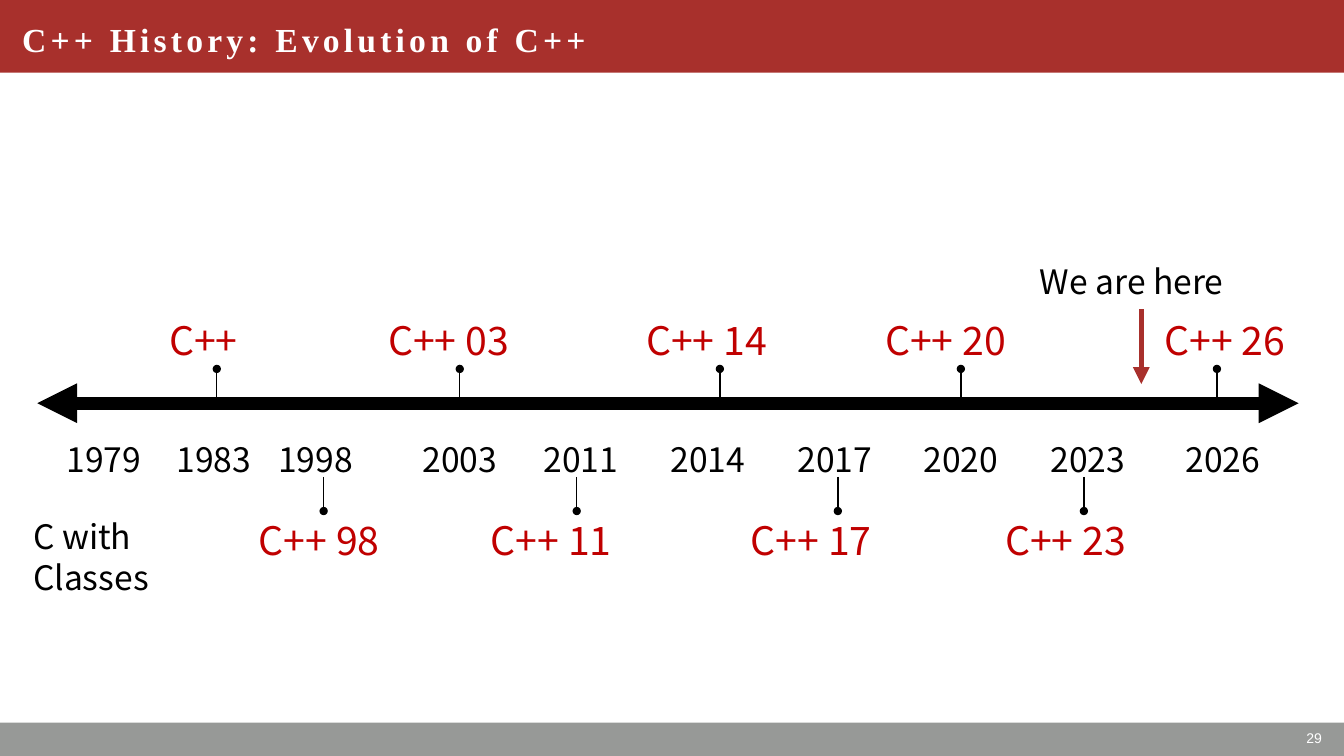
from dataclasses import dataclass

from pptx import Presentation
from pptx.dml.color import RGBColor
from pptx.enum.shapes import MSO_CONNECTOR, MSO_SHAPE
from pptx.enum.text import MSO_ANCHOR, MSO_AUTO_SIZE, PP_ALIGN
from pptx.oxml.ns import qn
from pptx.util import Inches, Pt
from lxml.etree import SubElement


@dataclass(frozen=True)
class Theme:
    """Colours, fonts and type sizes of the slide."""
    brand: str = "A8302C"
    footer: str = "979997"
    version: str = "C00000"
    ink: str = "000000"
    light: str = "FFFFFF"
    body_font: str = "Noto Sans CJK JP"
    title_font: str = "Times New Roman"
    number_font: str = "Arial"
    body_size: int = 24
    version_size: int = 28
    number_size: int = 10


THEME = Theme()
YEAR_WIDTH = 1.26

# year, year left, version, version left, version width, pin x, above the axis
MILESTONES = [
    ("1983", 1.49, "C++", 1.58, 1.14, 2.15, True),
    ("1998", 2.5, "C++ 98", 2.47, 1.96, 3.21, False),
    ("2003", 3.93, "C++ 03", 3.75, 1.92, 4.56, True),
    ("2011", 5.13, "C++ 11", 4.77, 2.03, 5.72, False),
    ("2014", 6.39, "C++ 14", 6.31, 1.84, 7.14, True),
    ("2017", 7.65, "C++ 17", 7.35, 1.81, 8.31, False),
    ("2020", 8.9, "C++ 20", 8.68, 1.71, 9.53, True),
    ("2023", 10.16, "C++ 23", 9.87, 1.84, 10.75, False),
    ("2026", 11.5, "C++ 26", 11.45, 1.71, 12.07, True),
]


def write(frame, text, *, size=THEME.body_size, font=THEME.body_font, color=THEME.ink,
          bold=False, align=PP_ALIGN.LEFT, spacing=None, tracking=None):
    """Fill a text frame with one formatted paragraph per line of text."""
    frame.word_wrap = True
    for index, line in enumerate(text.split("\n")):
        paragraph = frame.add_paragraph() if index else frame.paragraphs[0]
        paragraph.alignment = align
        if spacing:
            paragraph.line_spacing = Pt(spacing * size)
        run = paragraph.add_run()
        run.text = line
        run.font.size, run.font.name, run.font.bold = Pt(size), font, bold
        run.font.color.rgb = RGBColor.from_string(color)
        if tracking:
            run.font._element.set("spc", str(tracking * 100))


def add_label(slide, text, left, top, width, height, **style):
    """Place a timeline label with tight line spacing."""
    frame = slide.shapes.add_textbox(*map(Inches, (left, top, width, height))).text_frame
    frame.margin_top = Inches(0.08)
    write(frame, text, spacing=1.2, **style)


def add_bar(slide, left, top, width, height, color):
    """Draw a plain coloured band."""
    bar = slide.shapes.add_shape(MSO_SHAPE.RECTANGLE, *map(Inches, (left, top, width, height)))
    bar.shadow.inherit = False
    bar.fill.solid()
    bar.fill.fore_color.rgb = RGBColor.from_string(color)
    bar.line.fill.background()


def add_line(slide, start, end, width, color=THEME.ink, head=None, tail=None):
    """Draw a straight line with optional end marks."""
    line = slide.shapes.add_connector(MSO_CONNECTOR.STRAIGHT, *map(Inches, (*start, *end)))
    line.line.width = Pt(width)
    line.line.color.rgb = RGBColor.from_string(color)
    for tag, mark in (("a:headEnd", head), ("a:tailEnd", tail)):
        if mark:
            SubElement(line.line._get_or_add_ln(), qn(tag), type=mark)
    SubElement(line.element.spPr, qn("a:effectLst"))


def add_header(slide, left, top, width, height):
    """Draw the title band and set the title on it."""
    add_bar(slide, left, top, width, height, THEME.brand)
    title = slide.shapes.title
    slide.shapes.element.append(title.element)
    title.left, title.top = Inches(left + 0.12), Inches(top)
    title.width, title.height = Inches(7.1), Inches(height + 0.05)
    title.text_frame.auto_size = MSO_AUTO_SIZE.NONE
    title.text_frame.vertical_anchor = MSO_ANCHOR.MIDDLE
    write(title.text_frame, "C++ History: Evolution of C++", font=THEME.title_font,
          color=THEME.light, bold=True, tracking=3)


def add_footer(slide, left, top, width, height):
    """Draw the footer band with the slide number."""
    add_bar(slide, left, top, width, height, THEME.footer)
    box = map(Inches, (left + width - 3.07, top - 0.02, 2.95, 0.35))
    frame = slide.shapes.add_textbox(*box).text_frame
    frame.vertical_anchor = MSO_ANCHOR.MIDDLE
    write(frame, "29", size=THEME.number_size, font=THEME.number_font,
          color=THEME.light, align=PP_ALIGN.RIGHT)


def add_timeline(slide, left, axis, width):
    """Draw the axis, its years, the pinned versions and the present-day arrow."""
    add_line(slide, (left, axis), (left + width, axis), 9.5, head="triangle", tail="triangle")
    years = [("1979", 0.4)] + [milestone[:2] for milestone in MILESTONES]
    for year, year_left in years:
        add_label(slide, year, year_left, axis + 0.27, YEAR_WIDTH, 0.5, align=PP_ALIGN.CENTER)
    add_label(slide, "C with\nClasses", left - 0.14, axis + 1.04, 1.71, 0.91)
    for _, _, version, version_left, version_width, pin, above in MILESTONES:
        label_top = axis + (-0.94 if above else 1.04)
        pin_start, pin_end = (axis, axis - 0.34) if above else (axis + 0.73, axis + 1.07)
        add_label(slide, version, version_left, label_top, version_width, 0.57,
                  size=THEME.version_size, color=THEME.version)
        add_line(slide, (pin, pin_start), (pin, pin_end), 1, tail="oval")
    add_label(slide, "We are here", 9.99, axis - 1.49, 2.47, 0.5, align=PP_ALIGN.CENTER)
    add_line(slide, (11.32, axis - 0.93), (11.32, axis - 0.19), 4, THEME.brand, tail="triangle")


def main():
    """Build and save the slide."""
    deck = Presentation()
    deck.slide_width, deck.slide_height = Inches(13.33), Inches(7.5)
    slide = deck.slides.add_slide(deck.slide_layouts[5])
    add_footer(slide, 0, 7.17, 13.33, 0.33)
    add_header(slide, 0, 0, 13.33, 0.72)
    add_timeline(slide, 0.37, 4, 12.51)
    deck.save("out.pptx")


if __name__ == "__main__":
    main()
